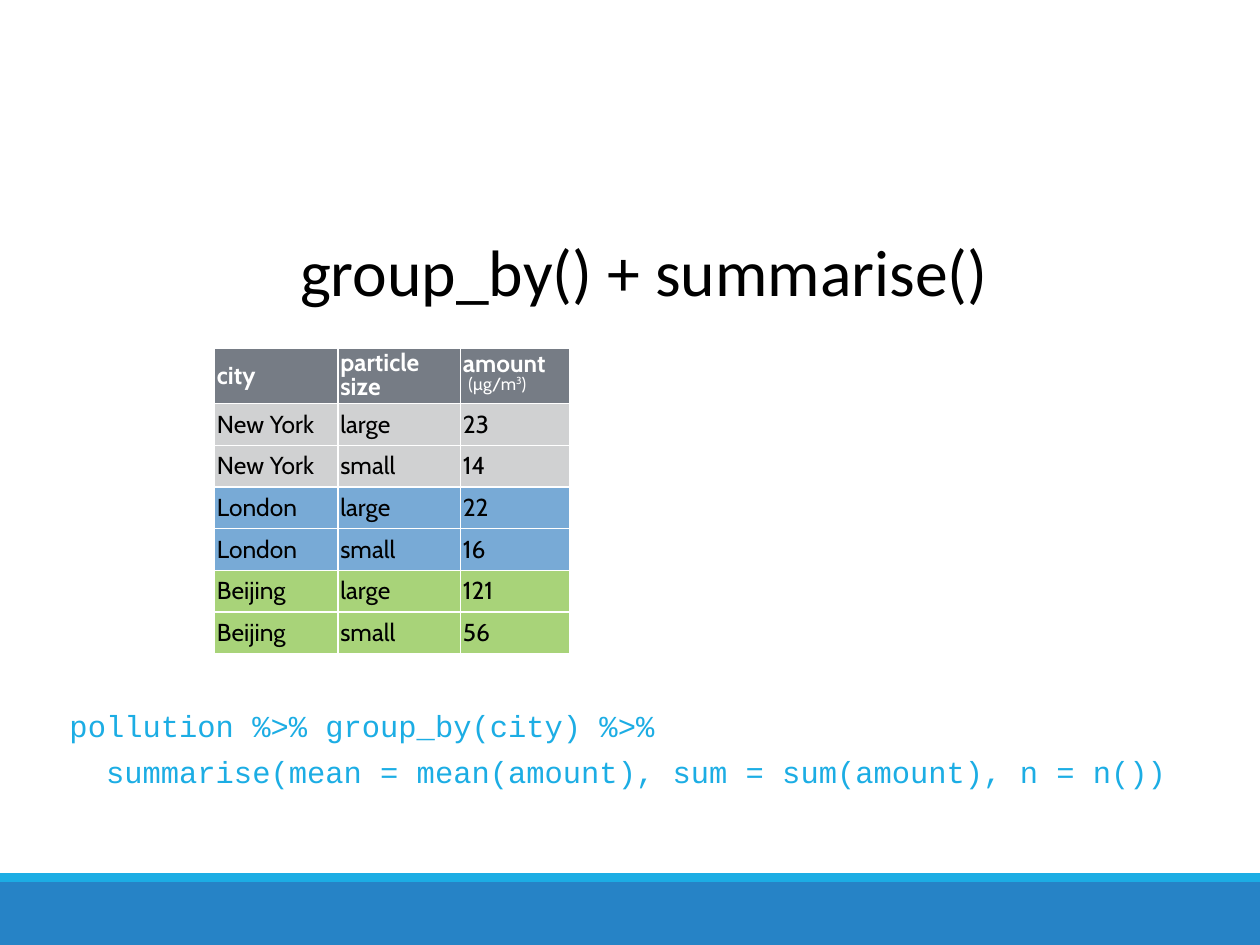
from dataclasses import dataclass

from lxml.etree import SubElement
from pptx import Presentation
from pptx.dml.color import RGBColor
from pptx.enum.shapes import MSO_SHAPE
from pptx.enum.text import MSO_ANCHOR, MSO_AUTO_SIZE, PP_ALIGN
from pptx.oxml.ns import qn
from pptx.util import Pt


@dataclass(frozen=True)
class Theme:
    black: str = "000000"
    white: str = "FFFFFF"
    band: str = "2683C6"
    cyan: str = "1CADE4"
    head: str = "767C85"
    grey: str = "D0D1D2"
    blue: str = "78AAD6"
    green: str = "A8D379"
    sans: str = "Calibri"
    cell: str = "Cabin"
    mono: str = "Courier New"
    title: float = 37.5
    code: float = 17.4
    body: float = 14
    unit: float = 10


T = Theme()
WIDTH, HEIGHT = 720, 540
COLS = (70.5, 70, 62.5)
HEAD, ROW = 31.7, 23.8
HEADS = ("city", "particle\vsize", "amount")
GROUPS = (
    (T.grey, (("New York", "large", "23"), ("New York", "small", "14"))),
    (T.blue, (("London", "large", "22"), ("London", "small", "16"))),
    (T.green, (("Beijing", "large", "121"), ("Beijing", "small", "56"))),
)
CODE = (
    "pollution %>% group_by(city) %>%",
    "  summarise(mean = mean(amount), sum = sum(amount), n = n())",
)


def style(font, name, size, color, bold=False):
    font.name, font.size, font.bold = name, Pt(size), bold
    font.color.rgb = RGBColor.from_string(color)


def inset(part, gap):
    part.margin_left = part.margin_right = Pt(gap)
    part.margin_top = part.margin_bottom = Pt(gap)


def add_bar(slide, x, y, w, h, color):
    bar = slide.shapes.add_shape(MSO_SHAPE.RECTANGLE, Pt(x), Pt(y), Pt(w), Pt(h))
    bar.shadow.inherit = False
    bar.fill.solid()
    bar.fill.fore_color.rgb = RGBColor.from_string(color)
    bar.line.fill.background()


def add_foot(slide, x, y, w, h):
    rim = 5
    add_bar(slide, x, y + rim, w, h - rim, T.band)
    add_bar(slide, x, y, w, rim, T.cyan)


def add_title(slide, x, y, w, h):
    title = slide.shapes.title
    title.left, title.top, title.width, title.height = Pt(x), Pt(y), Pt(w), Pt(h)
    frame = title.text_frame
    frame.auto_size = MSO_AUTO_SIZE.NONE
    frame.vertical_anchor = MSO_ANCHOR.MIDDLE
    inset(frame, 1.5)
    line = frame.paragraphs[0]
    line.text = "group_by() + summarise()"
    line.alignment = PP_ALIGN.CENTER
    style(line.font, T.sans, T.title, T.black)


def add_code(slide, x, y, w, h):
    frame = slide.shapes.add_textbox(Pt(x), Pt(y), Pt(w), Pt(h)).text_frame
    frame.word_wrap = True
    inset(frame, 2.2)
    for i, text in enumerate(CODE):
        line = frame.add_paragraph() if i else frame.paragraphs[0]
        line.text = text
        if i:
            line.space_before = Pt(5.4)
        style(line.font, T.mono, T.code, T.cyan)


def set_cell(cell, text, fill, color, bold=False):
    # Borders go ahead of the fill in the cell properties
    props = cell._tc.get_or_add_tcPr()
    for side in ("lnL", "lnR", "lnT", "lnB"):
        edge = SubElement(props, qn(f"a:{side}"), w=str(Pt(1)))
        paint = SubElement(edge, qn("a:solidFill"))
        SubElement(paint, qn("a:srgbClr"), val=T.white)
    cell.fill.solid()
    cell.fill.fore_color.rgb = RGBColor.from_string(fill)
    cell.vertical_anchor = MSO_ANCHOR.MIDDLE
    inset(cell, 1.5)
    line = cell.text_frame.paragraphs[0]
    line.text = text
    line.alignment = PP_ALIGN.LEFT
    style(line.font, T.cell, T.body, color, bold)
    return line


def add_unit(cell):
    line = cell.text_frame.add_paragraph()
    line.alignment = PP_ALIGN.LEFT
    line.line_spacing = 0.6
    parts = ((" ", T.body, 0), ("(µg/m", T.unit, 0), ("3", T.unit, 32), (")", T.unit, 0))
    for text, size, rise in parts:
        run = line.add_run()
        run.text = text
        style(run.font, T.cell, size, T.white)
        if rise:
            run._r.get_or_add_rPr().set("baseline", str(rise * 1000))


def add_group(slide, x, y, fill, rows, head):
    """Place one city's table and return its height."""
    sizes = [HEAD] * head + [ROW] * len(rows)
    grid = slide.shapes.add_table(
        len(sizes), len(COLS), Pt(x), Pt(y), Pt(sum(COLS)), Pt(sum(sizes))
    ).table
    grid.first_row = grid.horz_banding = False
    for col, size in zip(grid.columns, COLS):
        col.width = Pt(size)
    for row, size in zip(grid.rows, sizes):
        row.height = Pt(size)
    if head:
        for c, text in enumerate(HEADS):
            line = set_cell(grid.cell(0, c), text, T.head, T.white, True)
            if c:
                line.line_spacing = 0.8 if c == 1 else 0.6
        add_unit(grid.cell(0, 2))
    for r, row in enumerate(rows, int(head)):
        for c, text in enumerate(row):
            set_cell(grid.cell(r, c), text, fill, T.black)
    return sum(sizes)


def add_data(slide, x, y):
    for i, (fill, rows) in enumerate(GROUPS):
        y += add_group(slide, x, y, fill, rows, i == 0)


def main():
    deck = Presentation()
    deck.slide_width, deck.slide_height = Pt(WIDTH), Pt(HEIGHT)
    slide = deck.slides.add_slide(deck.slide_layouts.get_by_name("Title Only"))
    add_foot(slide, 0, 499, WIDTH, HEIGHT - 499)
    add_title(slide, 134, 127.5, 468.5, 53.5)
    add_code(slide, 37.5, 402, 646, 53.5)
    add_data(slide, 122.5, 199)
    deck.save("out.pptx")


if __name__ == "__main__":
    main()
